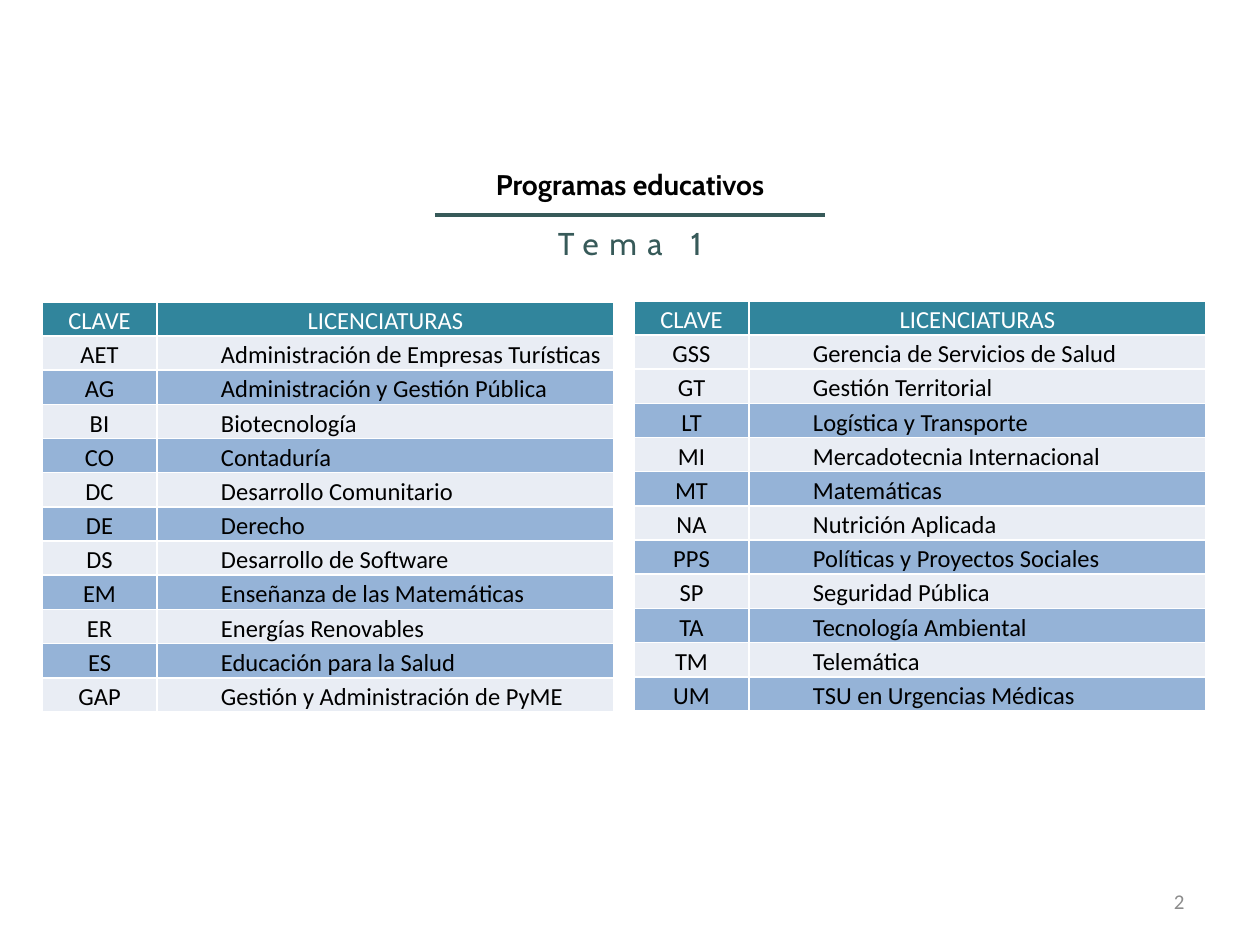
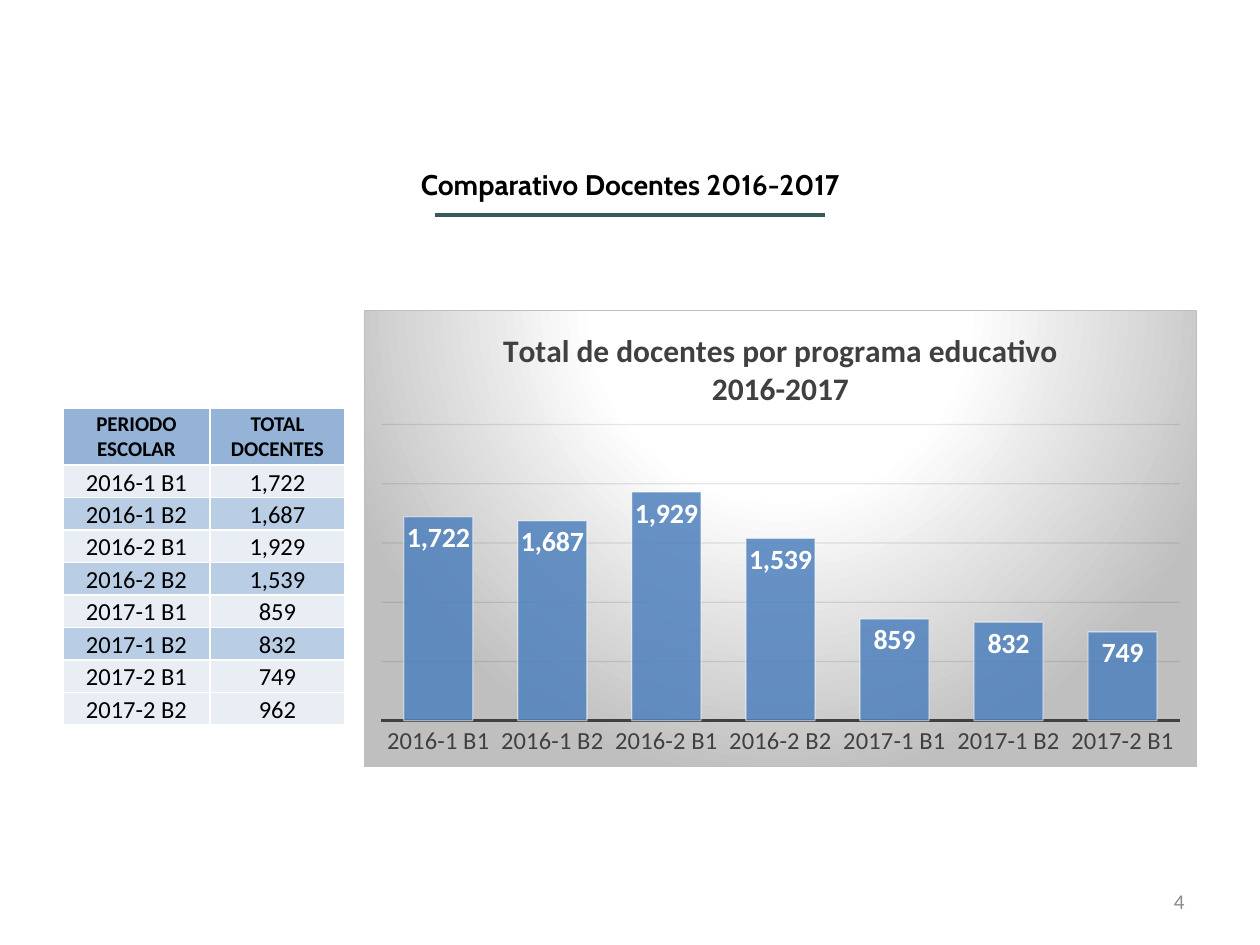
"""Build two slides on degree programmes and teaching staff."""
from lxml import etree
from pptx import Presentation
from pptx import util as u
from pptx.chart import data as chart_data
from pptx.dml import color
from pptx.enum import chart as charts, shapes, text
from pptx.oxml import ns, parse_xml

PX = 914400 / 126
GREEN, TEAL, PALE, BLUE, LIGHT_BLUE = "375A59", "31859C", "E9EDF4", "95B3D7", "B9CDE5"
WHITE, BLACK, DARK, GREY, SILVER = "FFFFFF", "000000", "404040", "8C8C8C", "BFBFBF"
BAR_BLUE, GRID = "4F81BD", "0D0D0D"
CENTER, LEFT, RIGHT = text.PP_ALIGN.CENTER, text.PP_ALIGN.LEFT, text.PP_ALIGN.RIGHT
MIDDLE, BOTTOM = text.MSO_ANCHOR.MIDDLE, text.MSO_ANCHOR.BOTTOM

PROGRAMS_A_TO_G = [
    ("AET", "Administración de Empresas Turísticas"),
    ("AG", "Administración y Gestión Pública"),
    ("BI", "Biotecnología"),
    ("CO", "Contaduría"),
    ("DC", "Desarrollo Comunitario"),
    ("DE", "Derecho"),
    ("DS", "Desarrollo de Software"),
    ("EM", "Enseñanza de las Matemáticas"),
    ("ER", "Energías Renovables"),
    ("ES", "Educación para la Salud"),
    ("GAP", "Gestión y Administración de PyME"),
]
PROGRAMS_G_TO_U = [
    ("GSS", "Gerencia de Servicios de Salud"),
    ("GT", "Gestión Territorial"),
    ("LT", "Logística y Transporte"),
    ("MI", "Mercadotecnia Internacional"),
    ("MT", "Matemáticas"),
    ("NA", "Nutrición Aplicada"),
    ("PPS", "Políticas y Proyectos Sociales"),
    ("SP", "Seguridad Pública"),
    ("TA", "Tecnología Ambiental"),
    ("TM", "Telemática"),
    ("UM", "TSU en Urgencias Médicas"),
]
STAFF = [
    ("2016-1 B1", 1722), ("2016-1 B2", 1687), ("2016-2 B1", 1929), ("2016-2 B2", 1539),
    ("2017-1 B1", 859), ("2017-1 B2", 832), ("2017-2 B1", 749), ("2017-2 B2", 962),
]


def px(*lengths):
    return [u.Emu(round(length * PX)) for length in lengths]


def rgb(value):
    return color.RGBColor.from_string(value)


def style_font(font, size, fill, bold=False, face="Calibri"):
    font.size, font.bold, font.name = u.Pt(size), bold, face
    font.color.rgb = rgb(fill)


def style_line(line, fill, width):
    line.color.rgb = rgb(fill)
    line.width = u.Pt(width)


def set_opacity(element, *percents):
    for tint, percent in zip(element.iter(ns.qn("a:srgbClr")), percents):
        etree.SubElement(tint, ns.qn("a:alpha"), val=str(percent * 1000))


class Deck:
    """Hold the shared style and the current slide."""

    def __init__(self):
        self.show = Presentation()
        self.show.slide_width, self.show.slide_height = px(1260, 945)
        self.slide = None

    def page(self, heading, number):
        self.slide = self.show.slides.add_slide(self.show.slide_layouts[5])
        title = self.slide.shapes.title
        title.left, title.top, title.width, title.height = px(63, 165, 1134, 39)
        title.text_frame.auto_size = text.MSO_AUTO_SIZE.NONE
        self.set_words(title.text_frame, heading, 16.2, BLACK, bold=True, face="Cabin")
        self.rule(435, 215, 825)
        self.label((903, 876, 294, 50), number, 12, GREY, align=RIGHT)

    def set_words(self, frame, words, size, fill, align=CENTER, **font):
        frame.text = words
        for paragraph in frame.paragraphs:
            paragraph.alignment = align
            for run in paragraph.runs:
                style_font(run.font, size, fill, **font)

    def label(self, box, words, size, fill, spacing=0, **style):
        frame = self.slide.shapes.add_textbox(*px(*box)).text_frame
        frame.word_wrap = True
        frame.vertical_anchor = MIDDLE
        self.set_words(frame, words, size, fill, **style)
        if spacing:
            frame.paragraphs[0].runs[0].font._element.set("spc", str(spacing * 100))

    def rule(self, left, top, right):
        line = self.slide.shapes.add_connector(
            shapes.MSO_CONNECTOR.STRAIGHT, *px(left, top, right, top))
        style_line(line.line, GREEN, 2)
        etree.SubElement(line._element.spPr, ns.qn("a:effectLst"))

    def cell(self, cell, words, back, size, fill, anchor, indent=0, **style):
        cell.margin_left, cell.margin_top, cell.margin_right, cell.margin_bottom = px(1, 1, 1, 0)
        properties = cell._tc.get_or_add_tcPr()
        for side in "LRTB":
            properties.append(parse_xml(
                f'<a:ln{side} {ns.nsdecls("a")} w="12700"><a:solidFill>'
                f'<a:srgbClr val="{WHITE}"/></a:solidFill></a:ln{side}>'))
        cell.fill.solid()
        cell.fill.fore_color.rgb = rgb(back)
        cell.vertical_anchor = anchor
        self.set_words(cell.text_frame, words, size, fill, **style)
        if indent:
            margin, = px(indent)
            cell.text_frame.paragraphs[0]._p.get_or_add_pPr().set("marL", str(margin))

    def table(self, corner, widths, heights, header, rows, banded, band, header_style, second_style):
        box = (*corner, sum(widths), sum(heights))
        grid = self.slide.shapes.add_table(len(rows) + 1, len(widths), *px(*box)).table
        grid.first_row = grid.horz_banding = False
        for column, width in zip(grid.columns, px(*widths)):
            column.width = width
        head_height, body_height = heights
        for row, height in zip(grid.rows, px(head_height, *[body_height / len(rows)] * len(rows))):
            row.height = height
        for index, words in enumerate(header):
            self.cell(grid.cell(0, index), words, **header_style)
        for number, row in enumerate(rows, 1):
            back = band if number in banded else PALE
            for index, words in enumerate(row):
                style = second_style if index else {}
                self.cell(grid.cell(number, index), words, back, 14, BLACK, BOTTOM, **style)

    def column_chart(self, box, heading, series_name, points):
        source = chart_data.CategoryChartData(number_format="#,##0")
        source.categories = [name for name, _ in points]
        source.add_series(series_name, [value for _, value in points])
        chart = self.slide.shapes.add_chart(
            charts.XL_CHART_TYPE.COLUMN_CLUSTERED, *px(*box), source).chart
        style_font(chart.font, 10, BLACK)
        chart.has_legend = False
        chart.has_title = True
        chart.chart_title.include_in_layout = False
        self.set_words(chart.chart_title.text_frame, heading, 18, DARK, bold=True)

        periods, totals = chart.category_axis, chart.value_axis
        style_font(periods.tick_labels.font, 14, DARK)
        style_line(periods.format.line, DARK, 1.5)
        periods.major_tick_mark = charts.XL_TICK_MARK.NONE
        totals.visible = False
        totals.minimum_scale, totals.maximum_scale, totals.major_unit = 0, 2500, 500
        totals.has_major_gridlines = True
        style_line(totals.major_gridlines.format.line, GRID, 0.75)
        set_opacity(totals._element.find(ns.qn("c:majorGridlines")), 10)

        plot = chart.plots[0]
        plot.gap_width, plot.vary_by_categories = 65, False
        bars = plot.series[0]
        bars.format.fill.solid()
        bars.format.fill.fore_color.rgb = rgb(BAR_BLUE)
        style_line(bars.format.line, WHITE, 0.75)
        set_opacity(bars._element.spPr, 85, 50)
        labels = bars.data_labels
        labels.show_value = True
        labels.position = charts.XL_LABEL_POSITION.INSIDE_END
        labels.number_format, labels.number_format_is_linked = "#,##0", False
        style_font(labels.font, 16, WHITE, bold=True)
        self.chart_area(chart)

    def chart_area(self, chart):
        area = chart._chartSpace.find(ns.qn("c:chart"))
        plot_area = area.find(ns.qn("c:plotArea"))
        for old in plot_area.findall(ns.qn("c:layout")):
            plot_area.remove(old)
        place = "".join(f'<c:{key} val="{value}"/>' for key, value in (
            ("layoutTarget", "inner"), ("xMode", "edge"), ("yMode", "edge"),
            ("x", 0.02), ("y", 0.25), ("w", 0.96), ("h", 0.65)))
        plot_area.insert(0, parse_xml(
            f'<c:layout {ns.nsdecls("c")}><c:manualLayout>{place}</c:manualLayout></c:layout>'))
        stops = "".join(
            f'<a:gs pos="{spot * 1000}"><a:srgbClr val="{tint}"/></a:gs>'
            for spot, tint in ((0, WHITE), (39, WHITE), (100, SILVER)))
        area.addnext(parse_xml(
            f'<c:spPr {ns.nsdecls("c", "a")}><a:gradFill><a:gsLst>{stops}</a:gsLst>'
            '<a:path path="circle"><a:fillToRect l="50000" t="-80000" r="50000" b="180000"/>'
            '</a:path></a:gradFill><a:ln w="9525"><a:solidFill>'
            f'<a:srgbClr val="{SILVER}"/></a:solidFill></a:ln></c:spPr>'))


def main():
    deck = Deck()

    deck.page("Programas educativos", "2")
    deck.label((530, 218, 200, 50), "Tema 1", 18, GREEN, spacing=6, face="Cabin")
    program_header = dict(back=TEAL, size=14, fill=WHITE, anchor=BOTTOM)
    for corner, programs, first_band in (
            ((42, 302), PROGRAMS_A_TO_G, 2), ((634, 301), PROGRAMS_G_TO_U, 3)):
        deck.table(corner, (115, 457), (34, 376), ("CLAVE", "LICENCIATURAS"), programs,
                   range(first_band, 12, 2), BLUE, program_header, dict(align=LEFT, indent=63))

    deck.page("Comparativo Docentes 2016-2017", "4")
    staff_header = dict(back=BLUE, size=12, fill=BLACK, anchor=MIDDLE, bold=True)
    staff_rows = [(period, f"{total:,}") for period, total in STAFF]
    deck.table((63, 408), (147, 135), (57, 260), ("PERIODO ESCOLAR", "TOTAL DOCENTES"),
               staff_rows, range(2, 8, 2), LIGHT_BLUE, staff_header, {})
    deck.column_chart((364, 310, 833, 457), "Total de docentes por programa educativo\n2016-2017",
                      "TOTAL DOCENTES", STAFF[:7])

    deck.show.save("out.pptx")


if __name__ == "__main__":
    main()
